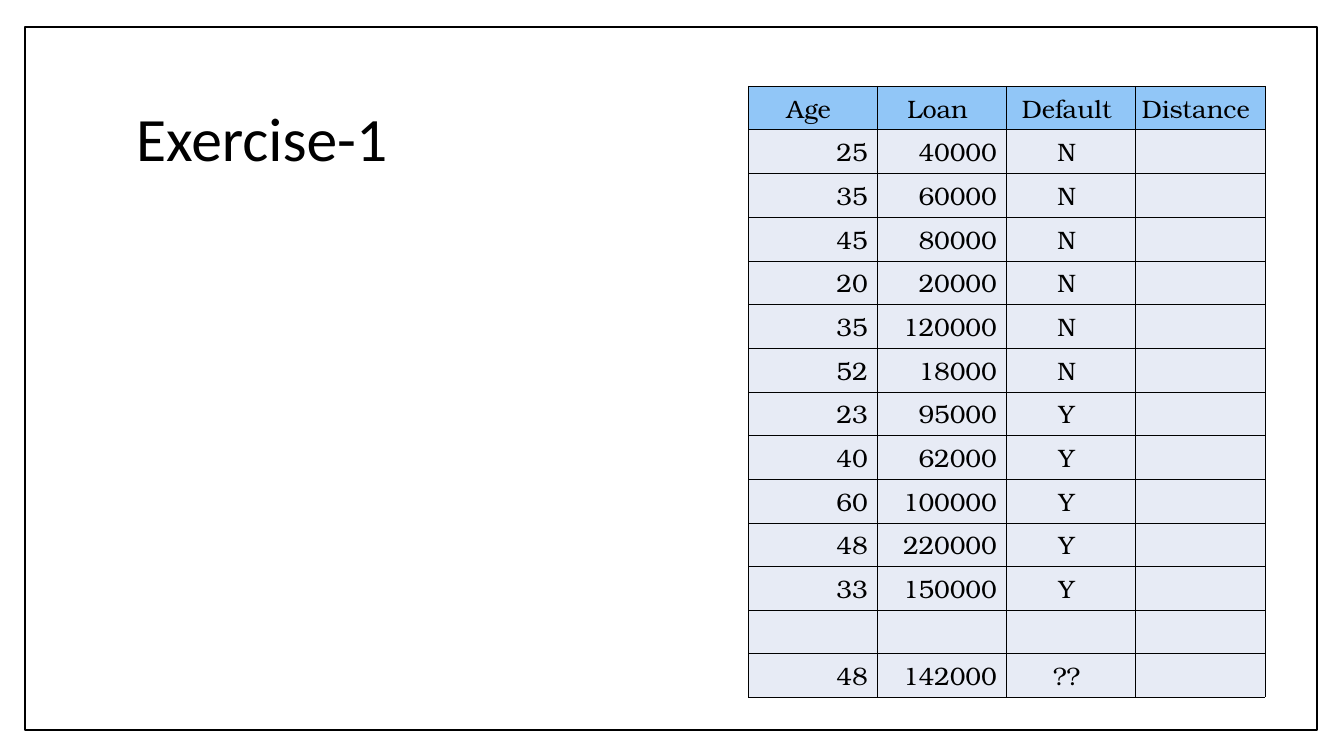
import pptx
import pptx.dml.color
import pptx.enum.shapes
import pptx.enum.text
import pptx.oxml
import pptx.oxml.ns
import pptx.util

RGBColor = pptx.dml.color.RGBColor
ALIGN = pptx.enum.text.PP_ALIGN
MIDDLE = pptx.enum.text.MSO_ANCHOR.MIDDLE

BLACK = RGBColor(0x00, 0x00, 0x00)
WHITE = RGBColor(0xFF, 0xFF, 0xFF)
HEADER_BLUE = RGBColor(0x91, 0xC6, 0xF7)
ROW_BLUE = RGBColor(0xE7, 0xEB, 0xF5)

HEADINGS = ["Age", "Loan", "Default", "Distance"]
LOANS = [
    ["25", "40000", "N", ""],
    ["35", "60000", "N", ""],
    ["45", "80000", "N", ""],
    ["20", "20000", "N", ""],
    ["35", "120000", "N", ""],
    ["52", "18000", "N", ""],
    ["23", "95000", "Y", ""],
    ["40", "62000", "Y", ""],
    ["60", "100000", "Y", ""],
    ["48", "220000", "Y", ""],
    ["33", "150000", "Y", ""],
    ["", "", "", ""],
    ["48", "142000", "??", ""],
]
COLUMN_ALIGNS = [ALIGN.RIGHT, ALIGN.RIGHT, ALIGN.CENTER, ALIGN.CENTER]


def px(length):
    return pptx.util.Emu(length * 9080)


def apply(target, values):
    for name, value in values.items():
        setattr(target, name, value)


class SlideBuilder:
    title_font = {"name": "Calibri", "size": pptx.util.Pt(44)}
    cell_font = {"name": "TeX Gyre Bonum", "size": pptx.util.Pt(18)}
    cell_format = {
        "vertical_anchor": MIDDLE,
        "margin_left": px(1), "margin_right": px(10),
        "margin_top": px(5), "margin_bottom": px(5),
    }
    border_width = pptx.util.Pt(0.45)

    def __init__(self, page):
        self.page = page

    def add_text(self, para, text, font, align):
        para.alignment = align
        span = para.add_run()
        span.text = text
        apply(span.font, font)
        span.font.color.rgb = BLACK

    def frame(self, left, top, width, height):
        box = self.page.shapes.add_shape(
            pptx.enum.shapes.MSO_SHAPE.RECTANGLE,
            px(left), px(top), px(width), px(height))
        box.shadow.inherit = False
        box.fill.solid()
        box.fill.fore_color.rgb = WHITE
        box.line.color.rgb = BLACK
        box.line.width = pptx.util.Pt(1)
        # Send behind the title
        self.page.shapes.title.element.addprevious(box.element)

    def title(self, text, left, top, width, height):
        box = self.page.shapes.title
        apply(box, {"left": px(left), "top": px(top),
                    "width": px(width), "height": px(height)})
        apply(box.text_frame, {
            "vertical_anchor": MIDDLE, "word_wrap": True,
            "auto_size": pptx.enum.text.MSO_AUTO_SIZE.NONE})
        para = box.text_frame.paragraphs[0]
        para.line_spacing = 0.9
        self.add_text(para, text, self.title_font, ALIGN.LEFT)

    def border(self, cell):
        properties = cell._tc.get_or_add_tcPr()
        for index, side in enumerate(("lnL", "lnR", "lnT", "lnB")):
            line = pptx.oxml.parse_xml(
                f'<a:{side} {pptx.oxml.ns.nsdecls("a")} w="{self.border_width}">'
                f'<a:solidFill><a:srgbClr val="{BLACK}"/></a:solidFill></a:{side}>')
            properties.insert(index, line)

    def cell(self, cell, text, fill, align):
        apply(cell, self.cell_format)
        cell.fill.solid()
        cell.fill.fore_color.rgb = fill
        self.border(cell)
        if text:
            self.add_text(cell.text_frame.paragraphs[0], text, self.cell_font, align)

    def table(self, headings, rows, aligns, left, top, column_width, row_height):
        row_count, column_count = len(rows) + 1, len(headings)
        table = self.page.shapes.add_table(
            row_count, column_count, px(left), px(top),
            px(column_width * column_count), px(row_height * row_count)).table
        for column in table.columns:
            column.width = px(column_width)
        for row in table.rows:
            row.height = px(row_height)
        for column, heading in enumerate(headings):
            self.cell(table.cell(0, column), heading, HEADER_BLUE, ALIGN.CENTER)
        for row, values in enumerate(rows, start=1):
            for column, value in enumerate(values):
                self.cell(table.cell(row, column), value, ROW_BLUE, aligns[column])


def main():
    deck = pptx.Presentation()
    deck.slide_width, deck.slide_height = px(1343), px(755)
    builder = SlideBuilder(deck.slides.add_slide(deck.slide_layouts[5]))

    # Page border and title
    builder.frame(25, 27, 1291, 702)
    builder.title("Exercise-1", 126, 67, 1088, 149)

    # Loan records
    builder.table(HEADINGS, LOANS, COLUMN_ALIGNS, 748, 86, 129, 43)

    deck.save("out.pptx")


if __name__ == "__main__":
    main()
